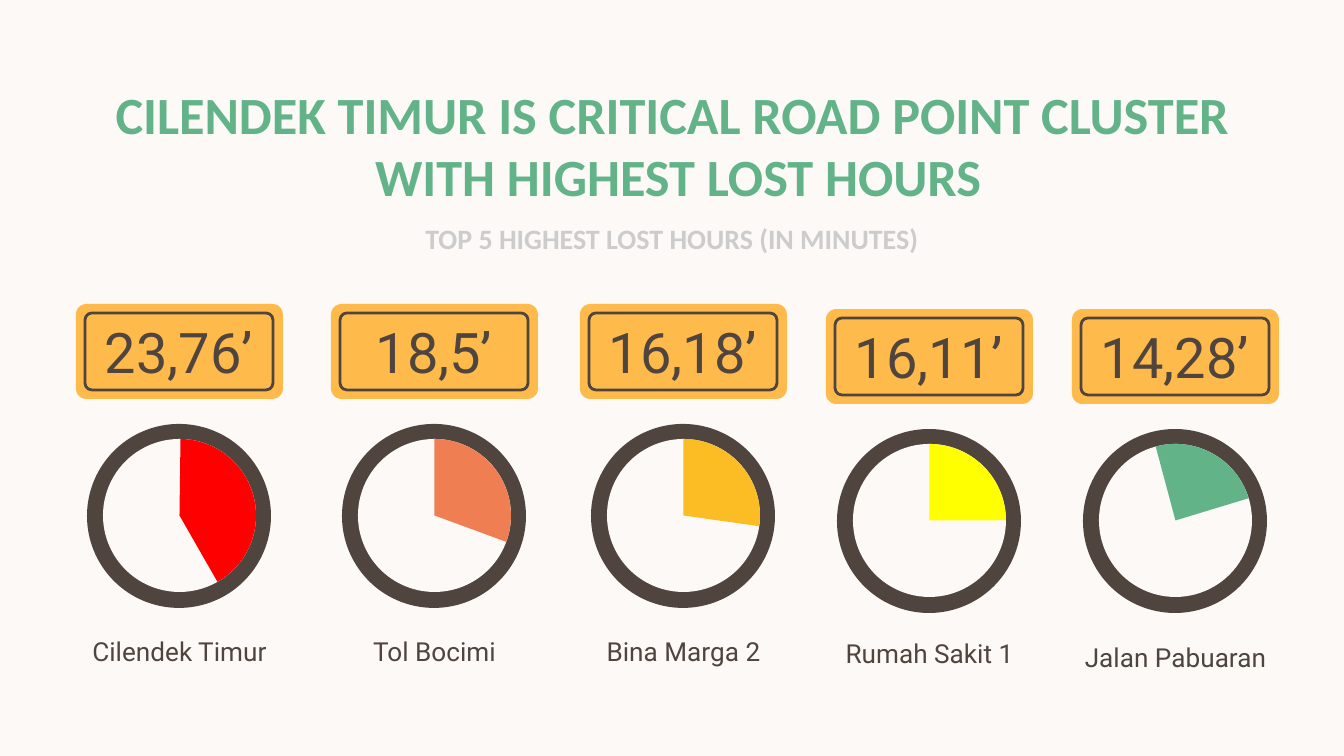
import pptx
import pptx.dml.color
import pptx.enum.shapes
import pptx.enum.text
import pptx.util

PX = 914400 / 134.4
SHAPES = pptx.enum.shapes.MSO_SHAPE
ANCHOR = pptx.enum.text.MSO_ANCHOR

COLORS = {
    "background": "FCF9F7",
    "green": "63B389",
    "gray": "CCCCCC",
    "plate": "FFBA4C",
    "dark": "50443F",
    "red": "FF0000",
    "orange": "F07E53",
    "amber": "FCBD24",
    "yellow": "FFFF00",
}

# Left, top, label top, minutes, road, wedge color, wedge start and end in degrees
GAUGES = [
    (76, 304, 622, "23,76’", "Cilendek Timur", "red", 270.76, 60.21),
    (331, 304, 622, "18,5’", "Tol Bocimi", "orange", 270, 20.2),
    (580, 304, 622, "16,18’", "Bina Marga 2", "amber", 270, 8.08),
    (826, 309, 624, "16,11’", "Rumah Sakit 1", "yellow", 270, 359.84),
    (1072, 309, 628, "14,28’", "Jalan Pabuaran", "green", 255.05, 343.14),
]


def emu(*lengths):
    """Turn px lengths into a list of EMU."""
    return [pptx.util.Emu(round(length * PX)) for length in lengths]


def rgb(name):
    """Return the named color."""
    return pptx.dml.color.RGBColor.from_string(COLORS[name])


def write_text(shape, text, size, font, color, bold=False, anchor=ANCHOR.MIDDLE):
    """Fill a shape with centered text in one format."""
    frame = shape.text_frame
    frame.text = text
    frame.word_wrap = True
    frame.auto_size = pptx.enum.text.MSO_AUTO_SIZE.NONE
    frame.vertical_anchor = anchor
    inset = pptx.util.Inches(0.1)
    frame.margin_left = frame.margin_right = inset
    frame.margin_top = frame.margin_bottom = inset
    for paragraph in frame.paragraphs:
        paragraph.alignment = pptx.enum.text.PP_ALIGN.CENTER
        for run in paragraph.runs:
            run.font.size = pptx.util.Pt(size)
            run.font.name = font
            run.font.bold = bold
            run.font.color.rgb = rgb(color)


def add_preset(shapes, kind, box, fill=None, line=None, adjustments=()):
    """Add a preset shape with a plain fill, an outline, or both."""
    shape = shapes.add_shape(kind, *emu(*box))
    shape.shadow.inherit = False
    if fill:
        shape.fill.solid()
        shape.fill.fore_color.rgb = rgb(fill)
    else:
        shape.fill.background()
    if line:
        shape.line.color.rgb = rgb(line)
        shape.line.width = pptx.util.Pt(1.5)
    else:
        shape.line.fill.background()
    for index, value in enumerate(adjustments):
        shape.adjustments[index] = value
    return shape


def add_title(slide):
    """Place and format the title placeholder."""
    title = slide.shapes.title
    title.left, title.top, title.width, title.height = emu(-7, 102, 1370, 85)
    text = "CILENDEK TIMUR IS CRITICAL ROAD POINT CLUSTER \nWITH HIGHEST LOST HOURS"
    write_text(title, text, 28, "Calibri", "green", bold=True)


def add_subtitle(slide):
    """Add the line below the title."""
    subtitle = slide.shapes.add_textbox(*emu(106, 215, 1132, 46))
    text = "TOP 5 HIGHEST LOST HOURS (IN MINUTES)"
    write_text(subtitle, text, 15, "Calibri", "gray", bold=True)


def add_gauge(slide, left, top, label_top, minutes, road, color, start, end):
    """Add a grouped plate, clock and road name."""
    shapes = slide.shapes.add_group_shape().shapes
    add_preset(shapes, SHAPES.ROUNDED_RECTANGLE, (left, top, 207, 95),
               fill="plate", adjustments=[0.11])
    frame = add_preset(shapes, SHAPES.ROUNDED_RECTANGLE, (left + 9, top + 9, 188, 77),
                       line="dark", adjustments=[0.09])
    write_text(frame, minutes, 30, "Roboto", "dark")

    label = shapes.add_textbox(*emu(left - 26, label_top, 259, 85))
    write_text(label, road, 14, "Roboto", "dark", anchor=ANCHOR.TOP)

    face = (left + 27, top + 135, 153, 153)
    add_preset(shapes, SHAPES.OVAL, (left + 11, top + 120, 184, 184), fill="dark")
    add_preset(shapes, SHAPES.OVAL, face, fill="background")
    angles = [degrees * 0.6 for degrees in (start, end)]
    add_preset(shapes, SHAPES.PIE, face, fill=color, adjustments=angles)


def main():
    """Build and save the slide."""
    presentation = pptx.Presentation()
    presentation.slide_width, presentation.slide_height = emu(1344, 756)
    slide = presentation.slides.add_slide(presentation.slide_layouts[5])
    slide.background.fill.solid()
    slide.background.fill.fore_color.rgb = rgb("background")
    add_title(slide)
    add_subtitle(slide)
    for gauge in GAUGES:
        add_gauge(slide, *gauge)
    presentation.save("out.pptx")


if __name__ == "__main__":
    main()
